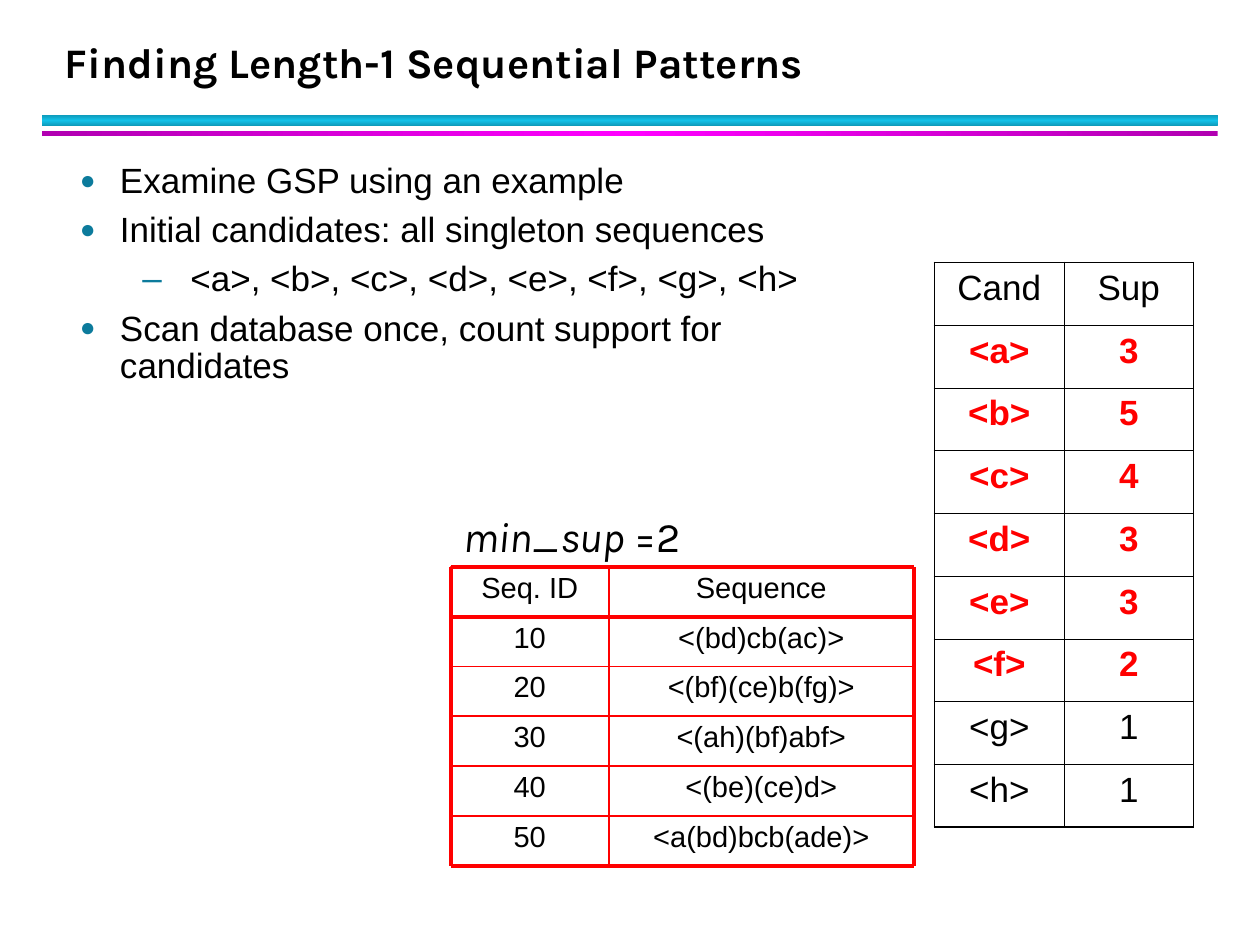
from lxml.etree import SubElement
from pptx import Presentation
from pptx.dml.color import RGBColor
from pptx.enum.shapes import MSO_CONNECTOR as Connector, MSO_SHAPE as Shape
from pptx.enum.text import MSO_ANCHOR as Anchor, PP_ALIGN as Align
from pptx.oxml import parse_xml
from pptx.oxml.ns import nsdecls, qn
from pptx.util import Cm, Pt

COLORS = {
    "text": "000000",
    "red": "FF0000",
    "bullet": "0C7B9C",
    "cyan": "12C2E9",
    "cyan_edge": "0E9AB9",
    "magenta": "FF00FF",
    "magenta_edge": "B100B1",
}

BULLETS = [
    (0, "Examine GSP using an example"),
    (0, "Initial candidates: all singleton sequences"),
    (1, "<a>, <b>, <c>, <d>, <e>, <f>, <g>, <h>"),
    (0, "Scan database once, count support for candidates"),
]
# Per level: character, size in percent, left margin, hanging indent
BULLET_STYLES = [("●", 75, Cm(0.81), Cm(0.81)), ("–", 100, Cm(2.23), Cm(0.97))]

SEQUENCES = [
    ("Seq. ID", "Sequence"),
    ("10", "<(bd)cb(ac)>"),
    ("20", "<(bf)(ce)b(fg)>"),
    ("30", "<(ah)(bf)abf>"),
    ("40", "<(be)(ce)d>"),
    ("50", "<a(bd)bcb(ade)>"),
]
SUPPORTS = [("<a>", 3), ("<b>", 5), ("<c>", 4), ("<d>", 3),
            ("<e>", 3), ("<f>", 2), ("<g>", 1), ("<h>", 1)]
MIN_SUPPORT = 2


def set_font(font, name, size, color="text", bold=False):
    font.name = name
    font.size = Pt(size)
    font.bold = bold
    font.color.rgb = RGBColor.from_string(COLORS[color])


def add_gradient_bar(slide, top, height, edge, middle, angle):
    """Add a full-width bar that shades from edge to middle and back."""
    bar = slide.shapes.add_shape(Shape.RECTANGLE, Cm(0.84), Cm(top), Cm(23.71), Cm(height))
    bar.shadow.inherit = False
    bar.line.fill.background()
    bar.fill.gradient()
    bar.fill.gradient_angle = angle
    stops = bar._element.spPr.find(qn("a:gradFill")).find(qn("a:gsLst"))
    for stop in list(stops):
        stops.remove(stop)
    for position, color in ((0, edge), (50000, middle), (100000, edge)):
        stop = SubElement(stops, qn("a:gs"), pos=str(position))
        SubElement(stop, qn("a:srgbClr"), val=COLORS[color])


def add_text_frame(slide, left, top, width, height, anchor=Anchor.TOP):
    box = slide.shapes.add_textbox(Cm(left), Cm(top), Cm(width), Cm(height))
    frame = box.text_frame
    frame.word_wrap = True
    frame.vertical_anchor = anchor
    return frame


def add_title(slide, text):
    frame = add_text_frame(slide, 1.06, 0.79, 23.01, 1.09, Anchor.BOTTOM)
    paragraph = frame.paragraphs[0]
    paragraph.text = text
    paragraph.line_spacing = Pt(36)
    set_font(paragraph.font, "Karla", 24, bold=True)


def set_bullet(paragraph, level):
    character, percent, margin, hanging = BULLET_STYLES[level]
    paragraph.level = level
    properties = paragraph._p.get_or_add_pPr()
    properties.set("marL", str(margin))
    properties.set("indent", str(-hanging))
    color = SubElement(properties, qn("a:buClr"))
    SubElement(color, qn("a:srgbClr"), val=COLORS["bullet"])
    SubElement(properties, qn("a:buSzPct"), val=str(percent * 1000))
    SubElement(properties, qn("a:buFont"), typeface="Arial")
    SubElement(properties, qn("a:buChar"), char=character)


def add_bullets(slide, items):
    frame = add_text_frame(slide, 1.36, 3.17, 16.76, 8.31)
    for index, (level, text) in enumerate(items):
        paragraph = frame.add_paragraph() if index else frame.paragraphs[0]
        paragraph.text = text
        set_bullet(paragraph, level)
        paragraph.line_spacing = 0.9
        paragraph.space_before = Pt(2.5 if index else 0)
        paragraph.space_after = Pt(4)
        set_font(paragraph.font, "Arial", 20)


def add_threshold(slide):
    frame = add_text_frame(slide, 9.09, 10.16, 5.08, 1.27)
    paragraph = frame.paragraphs[0]
    set_font(paragraph.font, "Karla", 24)
    for text, italic in (("min_sup ", True), (f"={MIN_SUPPORT}", False)):
        run = paragraph.add_run()
        run.text = text
        run.font.italic = italic


def add_sequence_cell(slide, text, left, top, width, height):
    cell = slide.shapes.add_shape(Shape.RECTANGLE, Cm(left), Cm(top), Cm(width), Cm(height))
    cell.shadow.inherit = False
    cell.fill.background()
    cell.line.color.rgb = RGBColor.from_string(COLORS["red"])
    cell.line.width = Pt(0.75)
    frame = cell.text_frame
    frame.word_wrap = True
    frame.vertical_anchor = Anchor.TOP
    paragraph = frame.paragraphs[0]
    paragraph.text = text
    paragraph.alignment = Align.CENTER
    paragraph.line_spacing = 0.9
    paragraph.space_after = Pt(4)
    set_font(paragraph.font, "Arial", 16.6)


def add_rule(slide, x1, y1, x2, y2, width):
    rule = slide.shapes.add_connector(Connector.STRAIGHT, Cm(x1), Cm(y1), Cm(x2), Cm(y2))
    rule.line.color.rgb = RGBColor.from_string(COLORS["red"])
    rule.line.width = Pt(width)
    SubElement(rule._element.spPr, qn("a:effectLst"))


def add_sequence_grid(slide):
    """Add the sequence database as boxes with ruled lines over their edges."""
    xs = [9.09, 12.27, 18.42]
    top, row_height, count = 11.43, 6.02 / 6, len(SEQUENCES)
    ys = [top + row_height * i for i in range(count + 1)]
    for y, row in zip(ys, SEQUENCES):
        for left, right, text in zip(xs, xs[1:], row):
            add_sequence_cell(slide, text, left, y, right - left, row_height)
    for i, y in enumerate(ys):
        add_rule(slide, xs[0], y, xs[-1], y, 2.25 if i in (0, 1, count) else 1)
    for x in xs:
        add_rule(slide, x, ys[0], x, ys[-1], 1 if x == xs[1] else 2.25)


def set_borders(cell, widths):
    """Draw the left, right, top and bottom borders with widths in points."""
    properties = cell._tc.get_or_add_tcPr()
    for side, width in zip("LRTB", widths):
        properties.append(parse_xml(
            f'<a:ln{side} {nsdecls("a")} w="{Pt(width)}"><a:solidFill>'
            f'<a:srgbClr val="{COLORS["text"]}"/></a:solidFill></a:ln{side}>'))


def add_support_table(slide):
    rows = [("Cand", "Sup")] + SUPPORTS
    column_width, row_height = 2.61, 11.39 / 9
    outer, inner = 1.08, 0.45
    frame = slide.shapes.add_table(len(rows), 2, Cm(18.84), Cm(5.29),
                                   Cm(column_width * 2), Cm(row_height * len(rows)))
    table = frame.table
    table.first_row = table.horz_banding = False
    for column in table.columns:
        column.width = Cm(column_width)
    rules = [outer] + [inner] * (len(rows) - 1) + [outer]
    for i, row in enumerate(rows):
        table.rows[i].height = Cm(row_height)
        frequent = i > 0 and row[1] >= MIN_SUPPORT
        for j, value in enumerate(row):
            cell = table.cell(i, j)
            sides = (inner, outer) if j else (outer, inner)
            set_borders(cell, (*sides, rules[i], rules[i + 1]))
            cell.fill.background()
            paragraph = cell.text_frame.paragraphs[0]
            paragraph.text = str(value)
            paragraph.alignment = Align.CENTER
            paragraph.space_after = Pt(4)
            set_font(paragraph.font, "Arial", 20, "red" if frequent else "text", frequent)


def main():
    presentation = Presentation()
    presentation.slide_width, presentation.slide_height = Cm(25.4), Cm(19.05)
    slide = presentation.slides.add_slide(presentation.slide_layouts[6])

    add_gradient_bar(slide, 2.32, 0.22, "cyan_edge", "cyan", 90)
    add_gradient_bar(slide, 2.64, 0.11, "magenta_edge", "magenta", 0)
    add_title(slide, "Finding Length-1 Sequential Patterns")
    add_bullets(slide, BULLETS)
    add_sequence_grid(slide)
    add_threshold(slide)
    add_support_table(slide)

    presentation.save("out.pptx")


if __name__ == "__main__":
    main()
